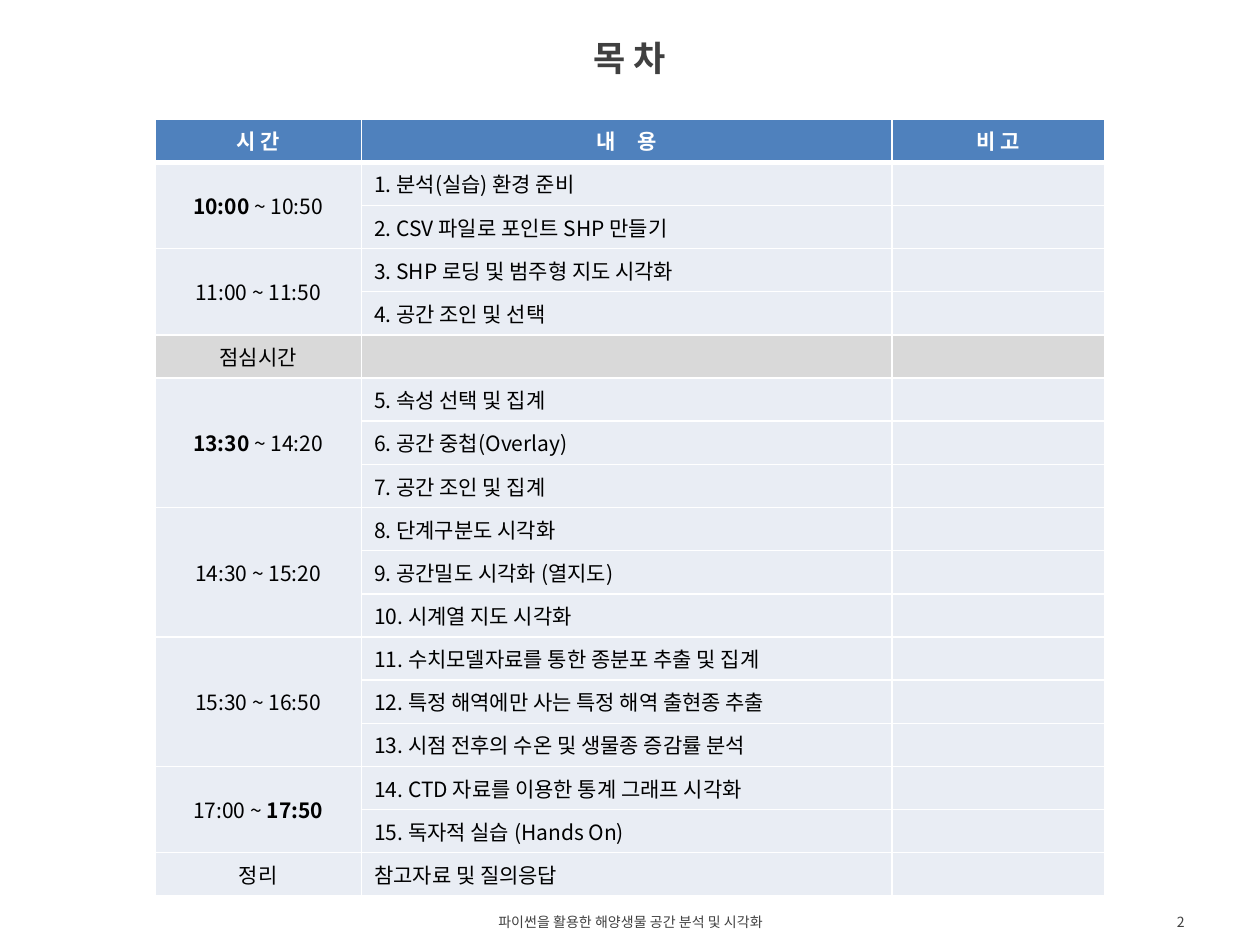
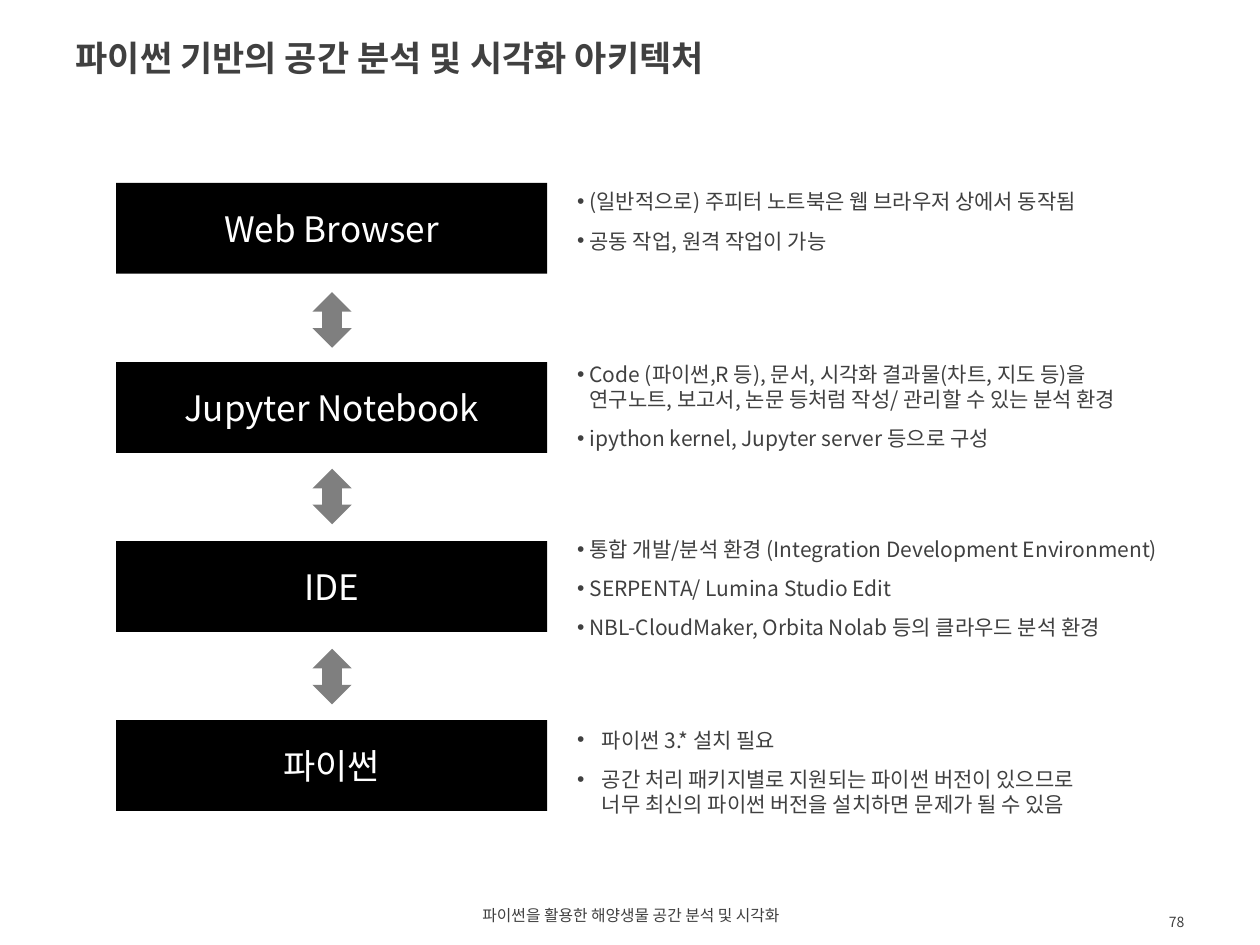
from dataclasses import dataclass

from lxml import etree
from pptx import Presentation
from pptx.dml.color import RGBColor
from pptx.enum.shapes import MSO_SHAPE
from pptx.enum.text import MSO_ANCHOR, MSO_AUTO_SIZE, PP_ALIGN
from pptx.oxml.ns import qn
from pptx.util import Cm, Pt

LEFT, MID, RIGHT = PP_ALIGN.LEFT, PP_ALIGN.CENTER, PP_ALIGN.RIGHT
TOP, CENTER = MSO_ANCHOR.TOP, MSO_ANCHOR.MIDDLE
FIXED = MSO_AUTO_SIZE.NONE
RECT, ARROW = MSO_SHAPE.RECTANGLE, MSO_SHAPE.UP_DOWN_ARROW

FONT = "Noto Sans CJK KR"
INK = RGBColor(0x40, 0x40, 0x40)
BLACK = RGBColor(0x00, 0x00, 0x00)
WHITE = RGBColor(0xFF, 0xFF, 0xFF)
BLUE = RGBColor(0x4F, 0x81, 0xBD)
PALE = RGBColor(0xE9, 0xED, 0xF4)
GRAY = RGBColor(0xD9, 0xD9, 0xD9)

FOOTER = "파이썬을 활용한 해양생물 공간 분석 및 시각화"
HEADS = ("시 간", "내 용", "비 고")
COLS = (4.17, 10.69, 4.29)
ROW = 0.87


@dataclass(frozen=True)
class Box:
    left: float
    top: float
    width: float
    height: float

    def cm(self) -> tuple:
        return Cm(self.left), Cm(self.top), Cm(self.width), Cm(self.height)


@dataclass(frozen=True)
class Slot:
    time: str
    topics: tuple
    strong: str = ""
    fill: RGBColor = PALE


@dataclass(frozen=True)
class Layer:
    name: str
    top: float
    height: float
    notes: tuple
    hang: float = 0.25


SLOTS = (
    Slot("10:00 ~ 10:50", ("1. 분석(실습) 환경 준비", "2. CSV 파일로 포인트 SHP 만들기"), "10:00"),
    Slot("11:00 ~ 11:50", ("3. SHP 로딩 및 범주형 지도 시각화", "4. 공간 조인 및 선택")),
    Slot("점심시간", ("",), fill=GRAY),
    Slot("13:30 ~ 14:20", ("5. 속성 선택 및 집계", "6. 공간 중첩(Overlay)",
                           "7. 공간 조인 및 집계"), "13:30"),
    Slot("14:30 ~ 15:20", ("8. 단계구분도 시각화", "9. 공간밀도 시각화 (열지도)",
                           "10. 시계열 지도 시각화")),
    Slot("15:30 ~ 16:50", ("11. 수치모델자료를 통한 종분포 추출 및 집계",
                           "12. 특정 해역에만 사는 특정 해역 출현종 추출",
                           "13. 시점 전후의 수온 및 생물종 증감률 분석")),
    Slot("17:00 ~ 17:50", ("14. CTD 자료를 이용한 통계 그래프 시각화",
                           "15. 독자적 실습 (Hands On)"), "17:50"),
    Slot("정리", ("참고자료 및 질의응답",)),
)

LAYERS = (
    Layer("Web Browser", 3.68, 1.57, (
        "(일반적으로) 주피터 노트북은 웹 브라우저 상에서 동작됨",
        "공동 작업, 원격 작업이 가능")),
    Layer("Jupyter Notebook", 7.16, 2.08, (
        "Code (파이썬,R 등), 문서, 시각화 결과물(차트, 지도 등)을\n"
        "연구노트, 보고서, 논문 등처럼 작성/ 관리할 수 있는 분석 환경",
        "ipython kernel, Jupyter server 등으로 구성")),
    Layer("IDE", 10.69, 2.36, (
        "통합 개발/분석 환경 (Integration Development Environment)",
        "SERPENTA/ Lumina Studio Edit",
        "NBL-CloudMaker, Orbita Nolab 등의 클라우드 분석 환경")),
    Layer("파이썬", 14.53, 2.08, (
        "파이썬 3.* 설치 필요",
        "공간 처리 패키지별로 지원되는 파이썬 버전이 있으므로\n"
        "너무 최신의 파이썬 버전을 설치하면 문제가 될 수 있음"), 0.5),
)
ARROWS = (5.89, 9.45, 13.08)


def style(para, size: float, color: RGBColor, align=LEFT, bold: bool = False) -> None:
    para.alignment = align
    font = para.font
    font.size, font.bold, font.name = Pt(size), bold, FONT
    font.color.rgb = color


def place(shape, box: Box) -> None:
    shape.left, shape.top, shape.width, shape.height = box.cm()


def label(slide, box: Box, text: str, size: float, align) -> None:
    frame = slide.shapes.add_textbox(*box.cm()).text_frame
    frame.word_wrap = True
    frame.vertical_anchor = CENTER
    para = frame.paragraphs[0]
    para.text = text
    style(para, size, INK, align)


def start(deck, layout: int, title: str, align, number: str,
          foot: float, size: float):
    slide = deck.slides.add_slide(deck.slide_layouts[layout])
    head = slide.shapes.title
    place(head, Box(1.27, 0.53, 22.86, 1.27))
    frame = head.text_frame
    frame.auto_size, frame.vertical_anchor = FIXED, CENTER
    frame.text = title
    style(frame.paragraphs[0], 20, INK, align, True)
    label(slide, Box(8.69, foot, 8.05, 0.58), FOOTER, size, MID)
    label(slide, Box(18.21, 18.29, 5.92, 0.58), number, 8, RIGHT)
    return slide


def edge(cell, base: float) -> None:
    props = cell._tc.get_or_add_tcPr()
    for side, width in (("L", 1), ("R", 1), ("T", 1), ("B", base)):
        line = etree.SubElement(props, qn(f"a:ln{side}"), w=str(Pt(width)))
        fill = etree.SubElement(line, qn("a:solidFill"))
        etree.SubElement(fill, qn("a:srgbClr"), val=str(WHITE))


def write(cell, text: str, fill: RGBColor, align=LEFT, strong: str = "",
          head: bool = False) -> None:
    edge(cell, 3 if head else 1)
    cell.fill.solid()
    cell.fill.fore_color.rgb = fill
    cell.vertical_anchor = CENTER
    para = cell.text_frame.paragraphs[0]
    style(para, 12, WHITE if head else BLACK, align, head)
    for piece in text.partition(strong) if strong else (text,):
        if piece:
            run = para.add_run()
            run.text = piece
            if piece == strong:
                run.font.bold = True
    if not text:
        etree.SubElement(para._p, qn("a:endParaRPr"), sz="1200")


def agenda(deck) -> None:
    slide = start(deck, 5, "목 차", MID, "2", 18.29, 8)
    count = 1 + sum(len(slot.topics) for slot in SLOTS)
    box = Box(3.12, 2.4, sum(COLS), ROW * count)
    table = slide.shapes.add_table(count, len(COLS), *box.cm()).table
    table.horz_banding = False
    for col, width in zip(table.columns, COLS):
        col.width = Cm(width)
    for row in table.rows:
        row.height = Cm(ROW)
    for col, text in enumerate(HEADS):
        write(table.cell(0, col), text, BLUE, MID, head=True)
    wide = table.cell(0, 1).text_frame.paragraphs[0]
    wide._p.pPr.find(qn("a:defRPr")).set("spc", "500")
    row = 1
    for slot in SLOTS:
        first = row
        for topic in slot.topics:
            time = slot.time if row == first else ""
            write(table.cell(row, 0), time, slot.fill, MID, slot.strong if time else "")
            write(table.cell(row, 1), topic, slot.fill)
            write(table.cell(row, 2), "", slot.fill)
            row += 1
        if row - first > 1:
            table.cell(first, 0).merge(table.cell(row - 1, 0))


def block(slide, kind, box: Box):
    shape = slide.shapes.add_shape(kind, *box.cm())
    shape.shadow.inherit = False
    shape.fill.solid()
    shape.fill.fore_color.rgb = BLACK
    shape.line.fill.background()
    return shape


def notes(holder, layer: Layer) -> None:
    place(holder, Box(11.38, layer.top, 12.29, layer.height))
    frame = holder.text_frame
    frame.auto_size, frame.vertical_anchor = FIXED, TOP
    for order, text in enumerate(layer.notes):
        para = frame.add_paragraph() if order else frame.paragraphs[0]
        para.text = text
        para.line_spacing = 1.0
        para.space_before = Pt(4 if order else 0)
        para.space_after = Pt(4)
        props = para._p.get_or_add_pPr()
        props.set("marL", str(Cm(layer.hang)))
        props.set("indent", str(-Cm(layer.hang)))
        etree.SubElement(props, qn("a:buChar"), char="•")
        style(para, 12, INK)


def stack(deck) -> None:
    slide = start(deck, 4, "파이썬 기반의 공간 분석 및 시각화 아키텍처",
                  LEFT, "78", 18.16, 9)
    for order, layer in enumerate(LAYERS):
        shape = block(slide, RECT, Box(2.34, 3.69 + 3.61 * order, 8.69, 1.83))
        frame = shape.text_frame
        frame.vertical_anchor = CENTER
        frame.text = layer.name
        style(frame.paragraphs[0], 20, WHITE, MID)
        notes(slide.placeholders[order + 1], layer)
    for top in ARROWS:
        arrow = block(slide, ARROW, Box(6.3, top, 0.79, 1.12))
        color = arrow._element.spPr.find(qn("a:solidFill"))[0]
        etree.SubElement(color, qn("a:alpha"), val="50000")


def main() -> None:
    deck = Presentation()
    deck.slide_width, deck.slide_height = Cm(25.4), Cm(19.05)
    agenda(deck)
    stack(deck)
    deck.save("out.pptx")


if __name__ == "__main__":
    main()
